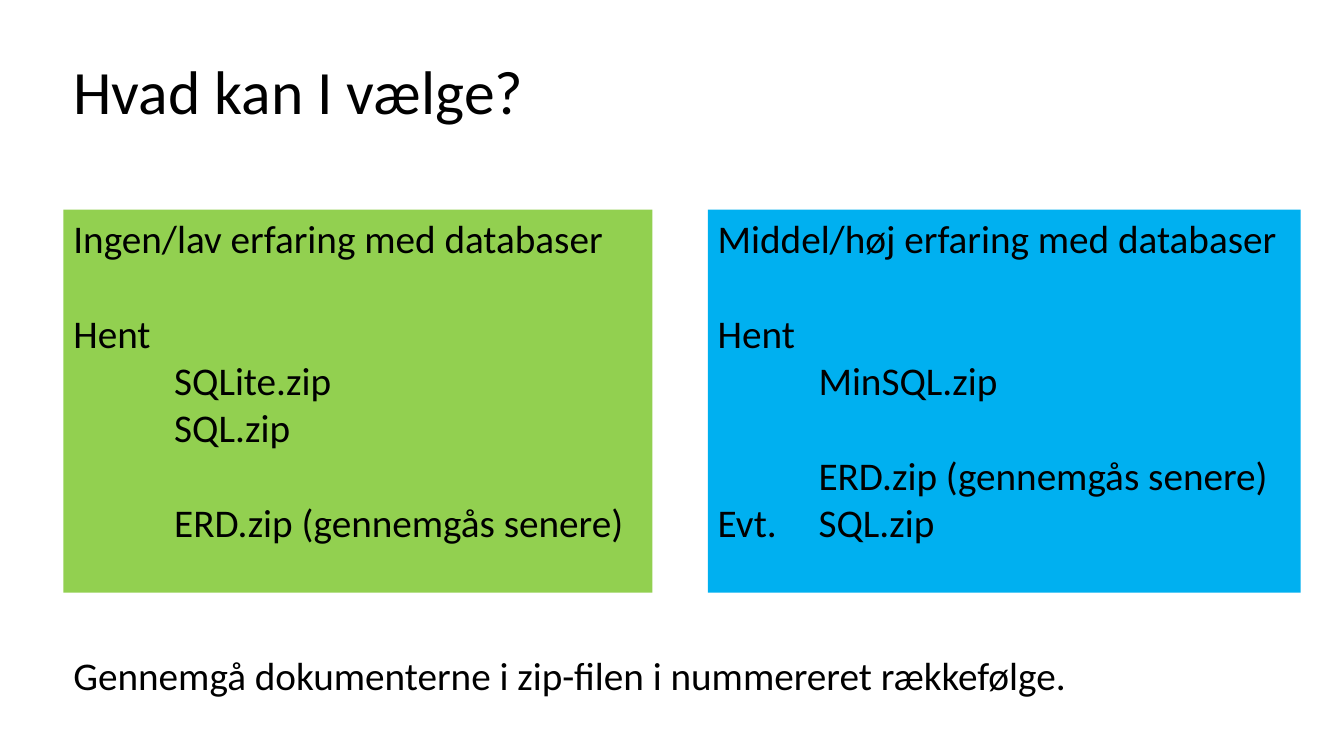
"""Build the slide that offers two database download choices."""
import pptx
import pptx.dml.color
import pptx.enum.shapes
import pptx.enum.text
import pptx.util

Inches = pptx.util.Inches
Pt = pptx.util.Pt
RGBColor = pptx.dml.color.RGBColor
PP_ALIGN = pptx.enum.text.PP_ALIGN
MSO_ANCHOR = pptx.enum.text.MSO_ANCHOR

BLACK = RGBColor(0, 0, 0)
GREEN = RGBColor(0x92, 0xD0, 0x50)
BLUE = RGBColor(0x00, 0xB0, 0xF0)
FONT = "Calibri"
BODY_SIZE = 28
BLANK_LINE = Pt(34)
LEFT = Inches(0.63)
INDENT = Inches(1)


def write(paragraph, text, size=BODY_SIZE):
    paragraph.alignment = PP_ALIGN.LEFT
    run = paragraph.add_run()
    run.text = text
    run.font.name = FONT
    run.font.size = Pt(size)
    run.font.color.rgb = BLACK


presentation = pptx.Presentation()
presentation.slide_width = Inches(13.33)
presentation.slide_height = Inches(7.5)
slide = presentation.slides.add_slide(presentation.slide_layouts[5])

title = slide.shapes.title
title.left, title.top = LEFT, Inches(0.21)
title.width, title.height = Inches(11.5), Inches(1.45)
title.text_frame.vertical_anchor = MSO_ANCHOR.MIDDLE
title_paragraph = title.text_frame.paragraphs[0]
title_paragraph.line_spacing = 0.9
write(title_paragraph, "Hvad kan I vælge?", 44)

# Each line holds its text, whether it is indented, and whether a gap precedes it.
choices = [
    (LEFT, Inches(5.84), GREEN, [
        ("Ingen/lav erfaring med databaser", False, False),
        ("Hent", False, True),
        ("SQLite.zip", True, False),
        ("SQL.zip", True, False),
        ("ERD.zip (gennemgås senere)", True, True),
    ]),
    (Inches(7.02), Inches(5.88), BLUE, [
        ("Middel/høj erfaring med databaser", False, False),
        ("Hent", False, True),
        ("MinSQL.zip", True, False),
        ("ERD.zip (gennemgås senere)", True, True),
        ("Evt.\tSQL.zip", False, False),
    ]),
]
for left, width, color, lines in choices:
    box = slide.shapes.add_shape(
        pptx.enum.shapes.MSO_SHAPE.RECTANGLE, left, Inches(2.08), width, Inches(3.8))
    box.shadow.inherit = False
    box.fill.solid()
    box.fill.fore_color.rgb = color
    box.line.fill.background()
    frame = box.text_frame
    frame.word_wrap = True
    frame.vertical_anchor = MSO_ANCHOR.TOP
    for index, (text, indented, gap_before) in enumerate(lines):
        paragraph = frame.add_paragraph() if index else frame.paragraphs[0]
        write(paragraph, text)
        if gap_before:
            paragraph.space_before = BLANK_LINE
        if indented:
            properties = paragraph._p.get_or_add_pPr()
            properties.set("marL", str(INDENT))
            properties.set("indent", "0")

note = slide.shapes.add_textbox(LEFT, Inches(6.41), Inches(10.52), Inches(0.98))
note.text_frame.word_wrap = False
write(note.text_frame.paragraphs[0],
      "Gennemgå dokumenterne i zip-filen i nummereret rækkefølge.")

presentation.save("out.pptx")
